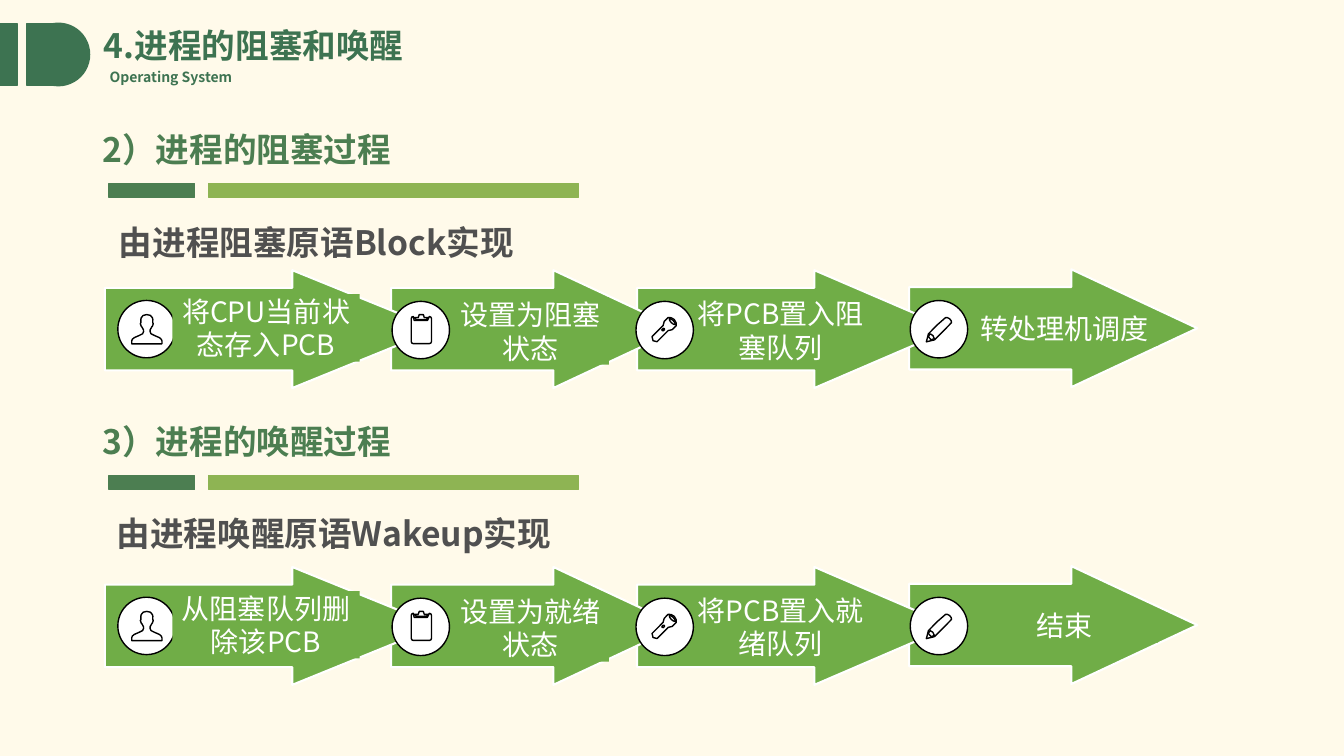
"""Build the slide on blocking and waking up a process."""
from dataclasses import dataclass

from pptx import Presentation
from pptx.dml.color import RGBColor
from pptx.enum.shapes import MSO_SHAPE
from pptx.enum.text import MSO_ANCHOR, PP_ALIGN
from pptx.util import Pt

RECT, OVAL, ARROW = MSO_SHAPE.RECTANGLE, MSO_SHAPE.OVAL, MSO_SHAPE.RIGHT_ARROW
TOP, MIDDLE = MSO_ANCHOR.TOP, MSO_ANCHOR.MIDDLE
LEFT, CENTER = PP_ALIGN.LEFT, PP_ALIGN.CENTER

TITLE = ["4.", "进程的阻塞和唤醒"]
SUBTITLE = ["Operating System"]
SECTIONS = [
    {"heading": ["2）", "进程的阻塞过程"],
     "primitive": ["由进程阻塞原语", "Block", "实现"], "primitive_at": (77.8, 154.8),
     "steps": [["将", "CPU", "当前状态存入", "PCB"], ["设置为阻塞状态"],
               ["将", "PCB", "置入阻塞队列"], ["转处理机调度"]]},
    {"heading": ["3）", "进程的唤醒过程"],
     "primitive": ["由进程唤醒原语", "Wakeup", "实现"], "primitive_at": (76.3, 362.9),
     "steps": [["从阻塞队列删除该", "PCB"], ["设置为就绪状态"],
               ["将", "PCB", "置入就绪队列"], ["结束"]]},
]

BUST_HALF = [(0, 10.1), (2.6, 10.7), (4, 12.4), (4.3, 13.7), (4.2, 15.8), (4.6, 16.6),
             (4, 18.4), (3.5, 19), (2.4, 21), (2.3, 22.2), (3, 23.8), (5.8, 25.2),
             (9, 26.6), (10.4, 27.8), (10.8, 29), (10.8, 31)]
BUST = [[(20.7 + side * x, y) for side, half in ((1, BUST_HALF), (-1, BUST_HALF[::-1]))
         for x, y in half]]
CLIPBOARD = [
    [(26.6, 10.8), (25.2, 13.7), (15.8, 13.7), (15.1, 10.8), (14.1, 11.2), (13.7, 12.2),
     (13.7, 28.8), (14.1, 29.8), (15.1, 30.2), (26.6, 30.2), (27.7, 29.8), (28.1, 28.8),
     (28.1, 12.2), (27.7, 11.2)],
    [(24.5, 13), (25.9, 11.5), (23, 11.5), (22.3, 9.4), (19.4, 9.4), (18.7, 11.5),
     (15.8, 11.5), (17.3, 13)],
]
TORCH = [
    [(27.4, 13), (25.2, 11.7), (23, 11.5), (20.2, 14.4), (19.4, 17.3), (11.5, 25.2),
     (12.2, 28.1), (15.1, 28.8), (23, 20.9), (25.9, 20.2), (28.8, 17.3), (28.8, 15.5)],
    [(25.2, 15.1), (24.1, 13.6), (23.8, 12.2), (25.2, 12.6), (26.6, 13.7), (27.8, 15.2),
     (28.1, 16.6), (26.6, 16.2)],
    [(18.7, 20.9), (18.5, 20.2), (19.4, 19.3), (20.2, 19.4), (20.4, 20.2), (19.6, 21)],
]
PENCIL = [
    [(28.1, 13), (26.6, 12.2), (25.2, 12.2), (19.4, 17.3), (13, 23.8), (11.5, 29.5),
     (17.3, 28.1), (23.8, 21.6), (29.5, 15.8), (29.2, 14.4)],
    [(16.6, 27.4), (15.1, 28.1), (14.2, 27.2), (13, 25.9), (13.7, 24.5), (14.4, 23.8),
     (16.2, 25), (17.3, 27.4)],
]

STEP_LAYOUT = [
    {"arrow": (74.9, 193, 237.6), "head": 103.7, "disc": (84.2, 214.6),
     "label": (123.1, 210.2, 133.9, 48.2), "icon": BUST},
    {"arrow": (279.4, 193, 205.9), "head": 90, "disc": (280.1, 215.3),
     "label": (323.3, 212.4, 111.6, 48.2), "icon": CLIPBOARD},
    {"arrow": (455, 193, 224.6), "head": 97.9, "disc": (454.3, 215.3),
     "label": (497.5, 211.7, 120.2, 48.2), "icon": TORCH},
    {"arrow": (649.4, 192.4, 205.9), "head": 90, "disc": (650.2, 214.7),
     "label": (693.4, 222.5, 133.9, 24.5), "icon": PENCIL},
]
ARROW_HEIGHT, SHAFT_RATIO, DISC = 84.2, 0.7, 41
HEADING_PITCH, FLOW_PITCH = 208.8, 212


@dataclass(frozen=True)
class Theme:
    font: str = "Noto Sans CJK SC"
    page: str = "FFFAEA"
    brand: str = "3D7351"
    heading: str = "4C7E51"
    accent: str = "8EB453"
    arrow: str = "70AD47"
    body: str = "505050"
    white: str = "FFFFFF"
    black: str = "000000"
    title_size: int = 24
    step_size: int = 20
    small_size: int = 10


THEME = Theme()


def paint(sp, fill, line=None, width=1):
    sp.shadow.inherit = False
    sp.fill.solid()
    sp.fill.fore_color.rgb = RGBColor.from_string(fill)
    if line:
        sp.line.color.rgb = RGBColor.from_string(line)
        sp.line.width = Pt(width)
    else:
        sp.line.fill.background()


def add_box(shapes, kind, box, fill, line=None, width=1):
    sp = shapes.add_shape(kind, *map(Pt, box))
    paint(sp, fill, line, width)
    return sp


def write(sp, runs, size, color, bold=True, align=LEFT, anchor=TOP, wrap=True):
    tf = sp.text_frame
    tf.word_wrap = wrap
    tf.vertical_anchor = anchor
    p = tf.paragraphs[0]
    p.alignment = align
    for text in runs:
        r = p.add_run()
        r.text = text
        r.font.size = Pt(size)
        r.font.bold = bold
        r.font.name = THEME.font
        r.font.color.rgb = RGBColor.from_string(color)
        ea = r.font.fill._xPr.makeelement(
            "{http://schemas.openxmlformats.org/drawingml/2006/main}ea",
            {"typeface": THEME.font})
        r.font.fill._xPr.append(ea)
    return p


def add_text(s, box, runs, size, color, wrap=True):
    sp = s.shapes.add_textbox(*map(Pt, box))
    write(sp, runs, size, color, wrap=wrap)


def add_icon(s, left, top, outlines):
    group = s.shapes.add_group_shape().shapes
    add_box(group, OVAL, (left, top, DISC, DISC), THEME.white, THEME.black)
    for outline in outlines:
        points = [(Pt(left + x), Pt(top + y)) for x, y in outline]
        builder = group.build_freeform(*points[0])
        builder.add_line_segments(points[1:], close=True)
        paint(builder.convert_to_shape(), THEME.white, THEME.black)


def add_header(s):
    for kind, left, width in ((RECT, 0, 12.2), (RECT, 19.4, 19.4), (OVAL, 19.4, 44.6)):
        add_box(s.shapes, kind, (left, 16.6, width, 44.6), THEME.brand, THEME.brand)
    add_text(s, (71.3, 45.4, 105.8, 19.4), SUBTITLE, THEME.small_size, THEME.brand, wrap=False)
    title = s.shapes.title
    title.left, title.top, title.width, title.height = map(Pt, (67, 15.8, 312.5, 36))
    p = write(title, TITLE, THEME.title_size, THEME.brand, anchor=MIDDLE)
    p.line_spacing = 0.9


def add_section(s, index, section):
    dy = index * HEADING_PITCH
    for left, width, color in ((77.8, 61.2, THEME.heading), (149, 264.2, THEME.accent)):
        add_box(s.shapes, RECT, (left, 131 + dy, width, 10.1), color, color)
    add_text(s, (66.2, 88.6 + dy, 311.8, 36), section["heading"], THEME.title_size, THEME.heading)
    add_text(s, (*section["primitive_at"], 573.1, 36), section["primitive"],
             THEME.title_size, THEME.body)

    dy = index * FLOW_PITCH
    for step in reversed(STEP_LAYOUT):
        left, top, width = step["arrow"]
        sp = add_box(s.shapes, ARROW, (left, top + dy, width, ARROW_HEIGHT),
                     THEME.arrow, THEME.white, 1.5)
        sp.adjustments[0] = SHAFT_RATIO
        sp.adjustments[1] = step["head"] / ARROW_HEIGHT
    for step in STEP_LAYOUT:
        left, top = step["disc"]
        add_icon(s, left, top + dy, step["icon"])
    for step, runs in zip(STEP_LAYOUT, section["steps"]):
        left, top, width, height = step["label"]
        sp = add_box(s.shapes, RECT, (left, top + dy, width, height), THEME.arrow)
        tf = sp.text_frame
        tf.margin_left = tf.margin_right = tf.margin_top = tf.margin_bottom = 0
        write(sp, runs, THEME.step_size, THEME.white, bold=False, align=CENTER, anchor=MIDDLE)


def main():
    prs = Presentation()
    prs.slide_width, prs.slide_height = Pt(960), Pt(540)
    s = prs.slides.add_slide(prs.slide_layouts[5])
    s.background.fill.solid()
    s.background.fill.fore_color.rgb = RGBColor.from_string(THEME.page)
    add_header(s)
    for index, section in enumerate(SECTIONS):
        add_section(s, index, section)
    prs.save("out.pptx")


if __name__ == "__main__":
    main()
